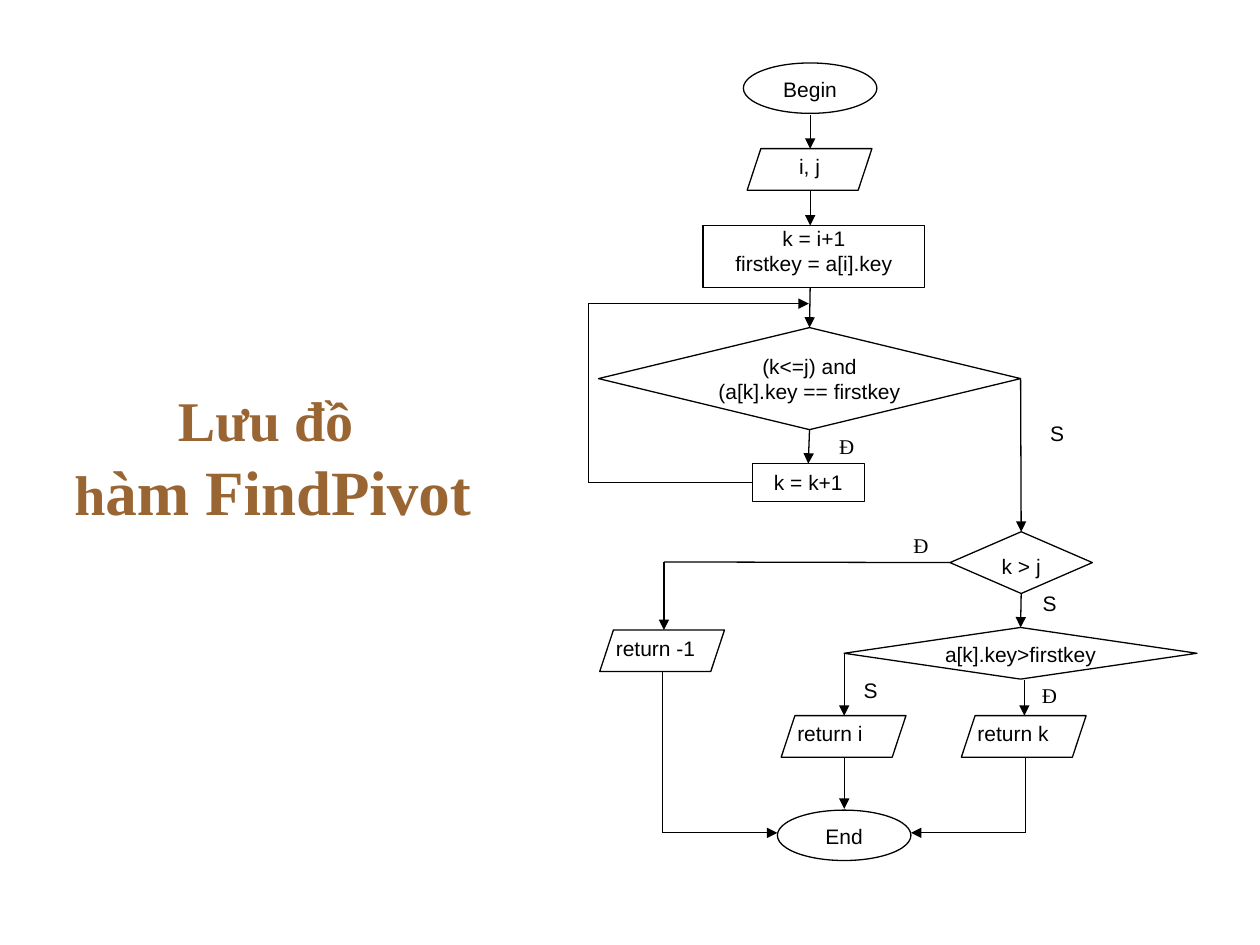
from pptx import Presentation
from pptx.dml.color import RGBColor
from pptx.enum.shapes import MSO_CONNECTOR, MSO_SHAPE
from pptx.enum.text import MSO_ANCHOR, PP_ALIGN
from pptx.oxml.ns import qn
from pptx.util import Inches, Pt
from lxml.etree import SubElement

deck = Presentation()
deck.slide_width, deck.slide_height = Inches(10), Inches(7.5)
page = deck.slides.add_slide(deck.slide_layouts[6])

# The page is a grid of 100 columns by 75 rows of square cells.
CELL = deck.slide_width / 100
BLACK, WHITE, BROWN = "000000", "FFFFFF", "996633"
TOP, LEFT, BOTTOM, RIGHT = range(4)


def color(hex_text):
    return RGBColor.from_string(hex_text)


def cells(*counts):
    """Turn grid counts into slide lengths."""
    return [round(count * CELL) for count in counts]


# Title
title = page.shapes.add_textbox(*cells(0, 30, 43.3, 12.5))
frame = title.text_frame
frame.word_wrap = True
frame.vertical_anchor = MSO_ANCHOR.MIDDLE
para = frame.paragraphs[0]
para.alignment = PP_ALIGN.CENTER
para.font.name, para.font.size, para.font.bold = "Times New Roman", Pt(32), True
para.font.color.rgb = color(BROWN)
para.add_run().text = "Lưu đồ "
para.add_line_break()
para.add_run().text = "h"
span = para.add_run()
span.text = "àm FindPivot"
span.font.size = Pt(36)

# Flowchart boxes: name, kind, column, row, columns, rows, side and top margins, text
OVAL, RECT = MSO_SHAPE.OVAL, MSO_SHAPE.RECTANGLE
DECISION, DATA = MSO_SHAPE.FLOWCHART_DECISION, MSO_SHAPE.PARALLELOGRAM
OVAL_SIZE, DATA_SIZE, LABEL_SIZE = (10.6, 4), (9.9, 3.3), (3, 1.8)
PADDED, TIGHT = (1, 0.5), (0, 0)
steps = [
    ("begin", OVAL, 59, 5, *OVAL_SIZE, PADDED, "Begin"),
    ("input", DATA, 59.3, 11.8, *DATA_SIZE, TIGHT, "i, j"),
    ("setup", RECT, 55.8, 17.9, 17.6, 4.9, TIGHT, "k = i+1\nfirstkey = a[i].key"),
    ("loop", DECISION, 47.5, 26, 33.5, 8.1, TIGHT, "(k<=j) and\n(a[k].key == firstkey"),
    ("next", RECT, 59.7, 36.8, 8.9, 3, PADDED, "k = k+1"),
    ("past end", DECISION, 75.4, 42.2, 11.3, 4.9, PADDED, "k > j"),
    ("compare", DECISION, 67, 49.8, 28, 4.1, (0, 0.1), "a[k].key>firstkey"),
    ("none", DATA, 47.6, 50, *DATA_SIZE, TIGHT, "return -1"),
    ("return i", DATA, 62, 56.8, *DATA_SIZE, TIGHT, "return i"),
    ("return k", DATA, 76.3, 56.8, *DATA_SIZE, TIGHT, "return k"),
    ("end", OVAL, 61.7, 64.3, *OVAL_SIZE, PADDED, "End"),
]
labels = [("Đ", 65.7, 34.4), ("Đ", 71.6, 42.3), ("Đ", 81.8, 54.2),
          ("S", 82.4, 33.4), ("S", 81.8, 46.9), ("S", 67.6, 53.8)]
steps += [("label", RECT, column, row, *LABEL_SIZE, TIGHT, mark)
          for mark, column, row in labels]

boxes = {}
for name, kind, column, row, columns, rows, margins, text in steps:
    box = page.shapes.add_shape(kind, *cells(column, row, columns, rows))
    boxes[name] = box
    box.shadow.inherit = False
    box.fill.solid()
    box.fill.fore_color.rgb = color(WHITE)
    if name == "label":
        box.line.fill.background()
    else:
        box.line.color.rgb = color(BLACK)
        box.line.width = Pt(0.75)
    if kind == DATA:
        box.adjustments[0] = 0.33
    frame = box.text_frame
    frame.word_wrap = True
    frame.vertical_anchor = MSO_ANCHOR.TOP
    side, edge = cells(*margins)
    frame.margin_left = frame.margin_right = side
    frame.margin_top = frame.margin_bottom = edge
    frame.text = text
    for para in frame.paragraphs:
        para.alignment = PP_ALIGN.LEFT if text.startswith("return") else PP_ALIGN.CENTER
        para.font.name = "Times New Roman" if text == "Đ" else "Arial"
        para.font.size = Pt(12)
        para.font.color.rgb = color(BLACK)

# Flow lines: start, end, arrow; an end is a grid point or a (box, side) joint
flows = [
    ((64.3, 9.1), (64.3, 11.8), True),
    ((64.3, 15.2), (64.3, 17.9), True),
    ((64.3, 22.8), ("loop", TOP), True),
    (("loop", BOTTOM), ("next", TOP), True),
    (("next", LEFT), (46.7, 38.3), False),
    ((46.7, 38.3), (46.7, 24.1), False),
    ((46.7, 24.1), (64.2, 24.1), True),
    (("loop", RIGHT), ("past end", TOP), True),
    (("past end", LEFT), (52.7, 44.6), False),
    ((52.7, 44.6), (52.7, 50), True),
    (("past end", BOTTOM), ("compare", TOP), True),
    (("compare", LEFT), (67, 56.8), True),
    ((81.3, 54), (81.3, 56.8), True),
    ((52.6, 53.3), (52.6, 66.1), False),
    ((52.6, 66.1), (61.7, 66.1), True),
    ((67, 60.1), (67, 64.2), True),
    ((81.4, 60.1), (81.4, 66.1), False),
    ((81.4, 66.1), (72.3, 66.1), True),
]
for start, end, arrow in flows:
    start_joined, end_joined = start[0] in boxes, end[0] in boxes
    start_point = (0, 0) if start_joined else start
    end_point = (0, 0) if end_joined else end
    flow = page.shapes.add_connector(MSO_CONNECTOR.STRAIGHT, *cells(*start_point, *end_point))
    if start_joined:
        flow.begin_connect(boxes[start[0]], start[1])
    if end_joined:
        flow.end_connect(boxes[end[0]], end[1])
    flow.line.color.rgb = color(BLACK)
    flow.line.width = Pt(0.75)
    properties = flow.line._get_or_add_ln()
    if arrow:
        SubElement(properties, qn("a:tailEnd"), type="triangle")
    SubElement(properties.getparent(), qn("a:effectLst"))

deck.save("out.pptx")
